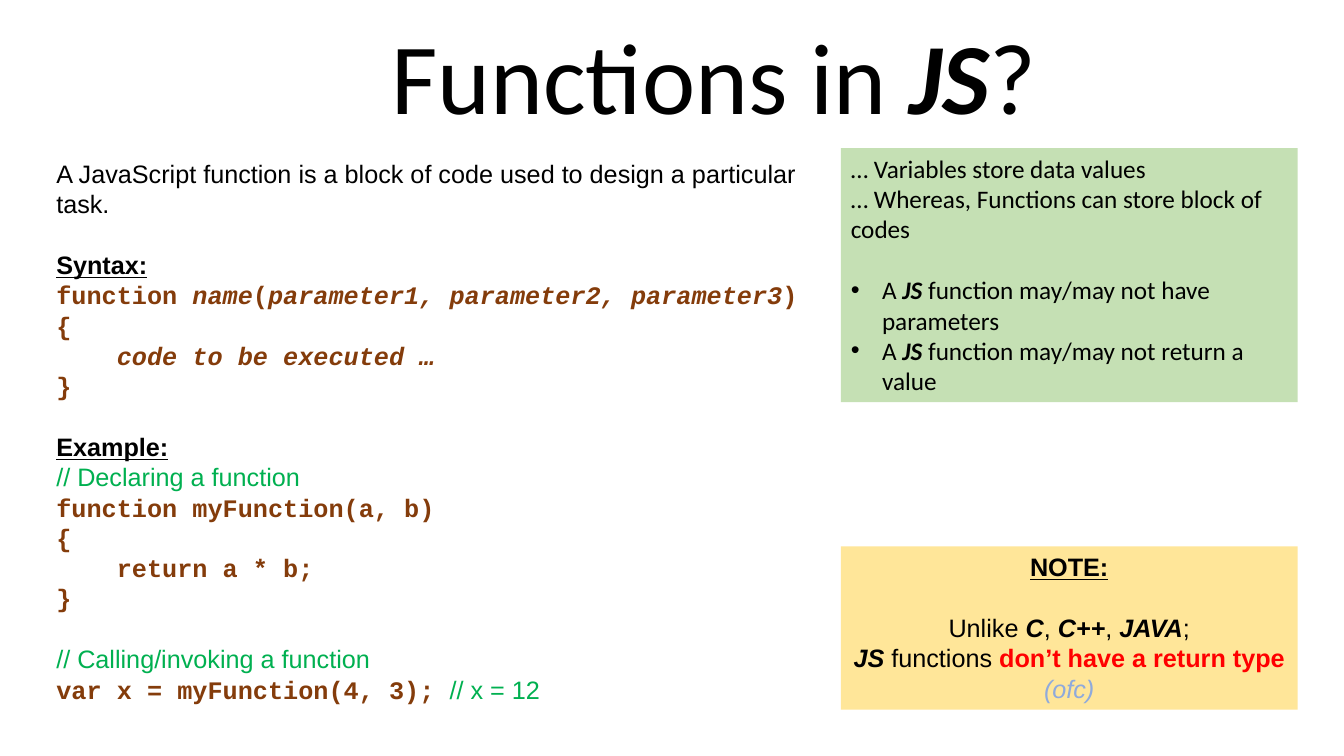
from dataclasses import dataclass

from lxml.etree import SubElement
from pptx import Presentation
from pptx.dml.color import RGBColor
from pptx.enum.shapes import MSO_SHAPE
from pptx.enum.text import MSO_ANCHOR, MSO_AUTO_SIZE, PP_ALIGN
from pptx.oxml.ns import qn
from pptx.util import Inches, Pt


@dataclass(frozen=True)
class Theme:
    black: str = "000000"
    code: str = "843C0B"
    comment: str = "00B050"
    warning: str = "FF0000"
    aside: str = "8FAADC"
    facts_fill: str = "C5E0B4"
    note_fill: str = "FFE699"
    sans: str = "Arial"
    heading: str = "Calibri"
    mono: str = "Courier New"
    title_size: int = 72
    body_size: int = 18
    gap: int = 22


THEME = Theme()
PLAIN = {}
STRONG = {"bold": True, "italic": True}
LABEL = {"bold": True, "underline": True}
CODE = {"font": THEME.mono, "color": THEME.code, "bold": True}
CODE_ITALIC = {**CODE, "italic": True}
COMMENT = {"color": THEME.comment}


@dataclass
class Line:
    pieces: list
    gap: bool = False
    indent: float = 0
    bullet: bool = False


class SlideBuilder:
    def __init__(self, theme, slide):
        self.theme = theme
        self.slide = slide

    def set_lines(self, frame, lines, font, size, align=PP_ALIGN.LEFT):
        frame.text = "\n".join("".join(words for words, _ in line.pieces) for line in lines)
        for paragraph, line in zip(frame.paragraphs, lines):
            paragraph.text = ""
            paragraph.alignment = align
            paragraph.line_spacing = 1.0
            paragraph.space_before = Pt(self.theme.gap if line.gap else 0)
            self.indent(paragraph, line)
            for words, style in line.pieces:
                run = paragraph.add_run()
                run.text = words
                run.font.name = style.get("font", font)
                run.font.size = Pt(size)
                run.font.color.rgb = RGBColor.from_string(style.get("color", self.theme.black))
                run.font.bold = style.get("bold", False)
                run.font.italic = style.get("italic", False)
                run.font.underline = style.get("underline", False)

    def indent(self, paragraph, line):
        if not line.indent:
            return
        properties = paragraph._p.get_or_add_pPr()
        properties.set("marL", str(Inches(line.indent)))
        if line.bullet:
            properties.set("indent", str(-Inches(line.indent)))
            SubElement(properties, qn("a:buFont")).set("typeface", self.theme.sans)
            SubElement(properties, qn("a:buChar")).set("char", "•")

    def title(self, left, top, width, height, pieces):
        title = self.slide.shapes.title
        title.left, title.top = Inches(left), Inches(top)
        title.width, title.height = Inches(width), Inches(height)
        frame = title.text_frame
        frame.word_wrap = False
        frame.auto_size = MSO_AUTO_SIZE.NONE
        frame.vertical_anchor = MSO_ANCHOR.TOP
        self.set_lines(frame, [Line(pieces)], self.theme.heading,
                       self.theme.title_size, PP_ALIGN.CENTER)

    def text(self, left, top, width, height, lines):
        box = self.slide.shapes.add_textbox(
            Inches(left), Inches(top), Inches(width), Inches(height))
        frame = box.text_frame
        frame.word_wrap = True
        frame.margin_top = frame.margin_bottom = Inches(0.1)
        self.set_lines(frame, lines, self.theme.sans, self.theme.body_size)

    def panel(self, left, top, width, height, fill, lines, font, align):
        panel = self.slide.shapes.add_shape(
            MSO_SHAPE.RECTANGLE, Inches(left), Inches(top), Inches(width), Inches(height))
        panel.shadow.inherit = False
        panel.fill.solid()
        panel.fill.fore_color.rgb = RGBColor.from_string(fill)
        panel.line.fill.background()
        frame = panel.text_frame
        frame.word_wrap = True
        frame.vertical_anchor = MSO_ANCHOR.TOP
        self.set_lines(frame, lines, font, self.theme.body_size, align)


def main():
    deck = Presentation()
    deck.slide_width, deck.slide_height = Inches(13.33), Inches(7.5)
    builder = SlideBuilder(THEME, deck.slides.add_slide(deck.slide_layouts[5]))

    builder.title(3.74, 0.09, 6.68, 1.31,
                  [("Functions in ", PLAIN), ("JS", STRONG), ("?", PLAIN)])

    builder.text(0.46, 1.47, 7.58, 5.56, [
        Line([("A JavaScript function is a block of code used to design a particular task.", PLAIN)]),
        Line([("Syntax:", LABEL)], gap=True),
        Line([("function ", CODE), ("name", CODE_ITALIC), ("(", CODE),
              ("parameter1, parameter2, parameter3", CODE_ITALIC), (")", CODE)]),
        Line([("{", CODE)]),
        Line([("code to be executed …", CODE_ITALIC)], indent=0.6),
        Line([("}", CODE)]),
        Line([("Example:", LABEL)], gap=True),
        Line([("// Declaring a function", COMMENT)]),
        Line([("function myFunction(a, b)", CODE)]),
        Line([("{", CODE)]),
        Line([("return a * b;", CODE)], indent=0.6),
        Line([("}", CODE)]),
        Line([("// Calling/invoking a function", COMMENT)], gap=True),
        Line([("var x = myFunction(4, 3); ", CODE), ("// x = 12", COMMENT)]),
    ])

    builder.panel(8.34, 5.42, 4.53, 1.62, THEME.note_fill, [
        Line([("NOTE:", LABEL)]),
        Line([("Unlike ", PLAIN), ("C", STRONG), (", ", PLAIN), ("C++", STRONG),
              (", ", PLAIN), ("JAVA", STRONG), (";", PLAIN)], gap=True),
        Line([("JS", STRONG), (" functions ", PLAIN),
              ("don’t have a return type ", {"color": THEME.warning, "bold": True}),
              ("(ofc)", {"color": THEME.aside, "italic": True})]),
    ], THEME.sans, PP_ALIGN.CENTER)

    rules = [
        Line([("A ", PLAIN), ("JS", STRONG), (f" function may/may not {ability}", PLAIN)],
             gap=position == 0, indent=0.31, bullet=True)
        for position, ability in enumerate(["have parameters", "return a value"])
    ]
    builder.panel(8.34, 1.47, 4.53, 2.52, THEME.facts_fill, [
        Line([("… Variables store data values", PLAIN)]),
        Line([("… Whereas, Functions can store block of codes", PLAIN)]),
        *rules,
    ], THEME.heading, PP_ALIGN.LEFT)

    deck.save("out.pptx")


if __name__ == "__main__":
    main()
